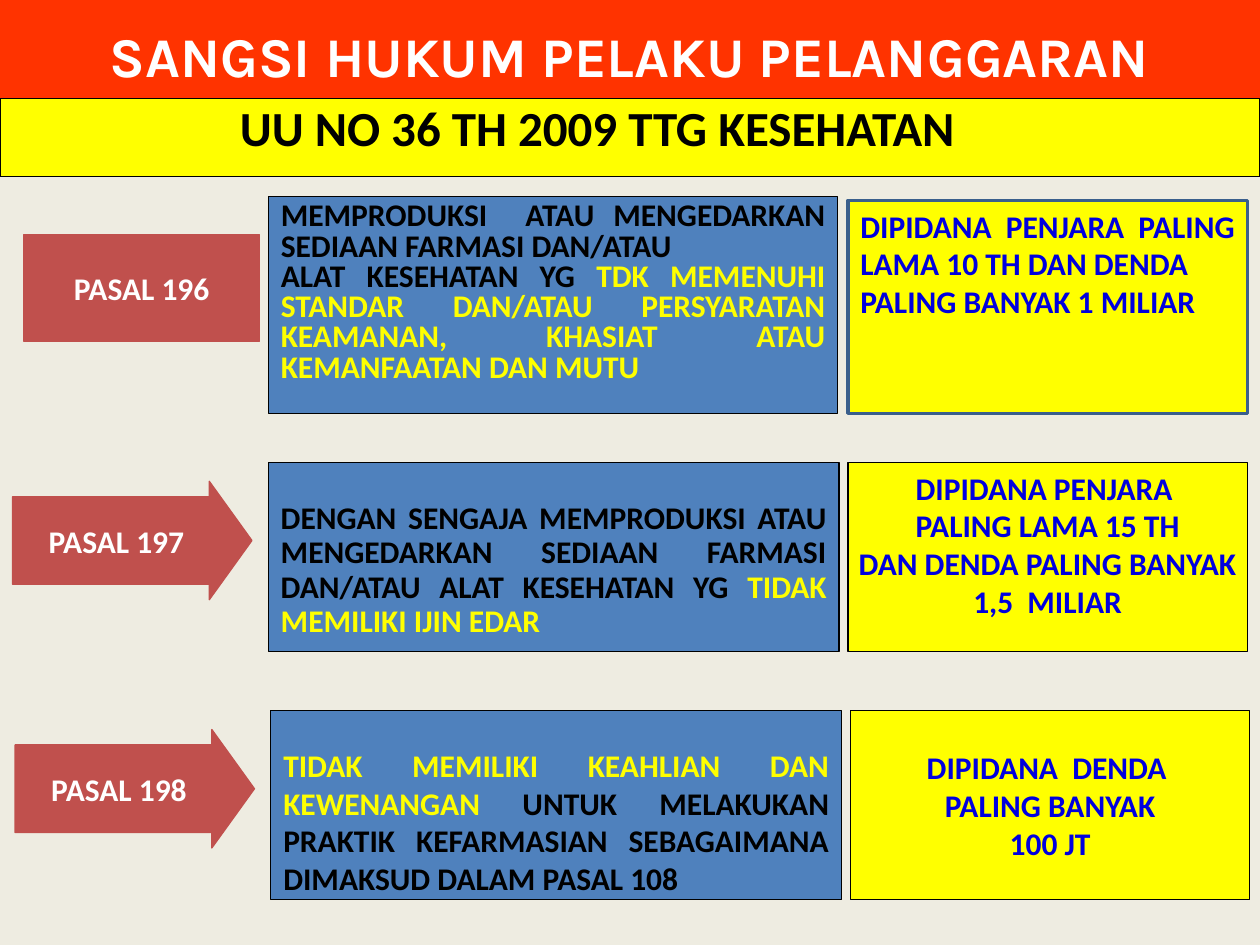
from pptx import Presentation
from pptx.dml.color import RGBColor
from pptx.enum.shapes import MSO_SHAPE
from pptx.enum.text import MSO_ANCHOR, PP_ALIGN
from pptx.util import Inches, Pt

RED, BLUE, YELLOW = "C0504D", "4F81BD", "FFFF00"
BLACK, WHITE, NAVY = "000000", "FFFFFF", "0000DE"
CENTER, JUSTIFY = PP_ALIGN.CENTER, PP_ALIGN.JUSTIFY
TOP, MIDDLE = MSO_ANCHOR.TOP, MSO_ANCHOR.MIDDLE


def color(value):
    return RGBColor.from_string(value)


def add_box(bounds, fill, paragraphs, kind=MSO_SHAPE.RECTANGLE, line=BLACK, line_width=0.75,
            align=CENTER, anchor=TOP, spacing=1.0, top_inset=0.05, wrap=True,
            size=18, font="Calibri"):
    """Each paragraph is a list of (text, colour) pairs."""
    box = page.shapes.add_shape(kind, *[Inches(length) for length in bounds])
    box.shadow.inherit = False
    box.fill.solid()
    box.fill.fore_color.rgb = color(fill)
    box.line.color.rgb = color(line)
    box.line.width = Pt(line_width)
    frame = box.text_frame
    frame.word_wrap = wrap
    frame.vertical_anchor = anchor
    frame.margin_top = Inches(top_inset)
    for index, spans in enumerate(paragraphs):
        paragraph = frame.add_paragraph() if index else frame.paragraphs[0]
        paragraph.alignment = align
        paragraph.line_spacing = spacing
        for text, text_color in spans:
            span = paragraph.add_run()
            span.text = text
            span.font.name = font
            span.font.size = Pt(size)
            span.font.bold = True
            span.font.color.rgb = color(text_color)
    return box


deck = Presentation()
deck.slide_width, deck.slide_height = Inches(10), Inches(7.5)
page = deck.slides.add_slide(deck.slide_layouts[6])
page.background.fill.solid()
page.background.fill.fore_color.rgb = color("EEECE1")

# Headings
title = add_box((0, 0, 10, 0.87), "FF3300", [[("SANGSI HUKUM PELAKU PELANGGARAN", WHITE)]],
                anchor=MIDDLE, size=32, font="Karla")
title.line.fill.background()
law = add_box((0, 0.78, 10, 0.62), YELLOW, [[("UU NO 36 TH 2009 TTG KESEHATAN", BLACK)]],
              spacing=0.9, size=28)
law.margin_right = law.text_frame.margin_right = Inches(0.62)

# Article labels
add_box((0.19, 1.86, 1.87, 0.85), RED, [[("PASAL 196", WHITE)]], line=RED, anchor=MIDDLE)
for left, top, label in [(0.1, 3.82, "PASAL 197"), (0.12, 5.79, "PASAL 198")]:
    arrow = add_box((left, top, 1.9, 0.94), RED, [[(label, WHITE)]],
                    kind=MSO_SHAPE.RIGHT_ARROW, line=RED, anchor=MIDDLE)
    arrow.adjustments[0], arrow.adjustments[1] = 0.74, 0.36

# Offences: bounds, line spacing, top inset, paragraphs
offences = [
    ((2.13, 1.56, 4.52, 1.72), 0.8, 0.05, [
        [("MEMPRODUKSI  ATAU MENGEDARKAN SEDIAAN FARMASI DAN/ATAU ", BLACK)],
        [("ALAT KESEHATAN YG ", BLACK),
         ("TDK MEMENUHI STANDAR DAN/ATAU PERSYARATAN KEAMANAN, KHASIAT ATAU "
          "KEMANFAATAN DAN MUTU", YELLOW)]]),
    ((2.13, 3.67, 4.53, 1.5), 0.9, 0.32, [
        [("DENGAN SENGAJA MEMPRODUKSI ATAU MENGEDARKAN SEDIAAN FARMASI DAN/ATAU "
          "ALAT KESEHATAN YG ", BLACK),
         ("TIDAK MEMILIKI IJIN EDAR", YELLOW)]]),
    ((2.15, 5.64, 4.53, 1.5), 1.0, 0.28, [
        [("TIDAK MEMILIKI KEAHLIAN DAN KEWENANGAN", YELLOW),
         (" UNTUK MELAKUKAN PRAKTIK KEFARMASIAN SEBAGAIMANA DIMAKSUD DALAM PASAL 108",
          BLACK)]]),
]
for bounds, spacing, top_inset, paragraphs in offences:
    add_box(bounds, BLUE, paragraphs, align=JUSTIFY, spacing=spacing, top_inset=top_inset)

# Penalties
add_box((6.73, 1.59, 3.17, 1.69), YELLOW,
        [[("DIPIDANA PENJARA PALING LAMA 10 TH DAN DENDA", NAVY)],
         [("PALING BANYAK 1 MILIAR", NAVY)]],
        line="3A5F8C", line_width=2, align=JUSTIFY)
penalties = [
    (6.73, 3.67, TOP, ["DIPIDANA PENJARA ", "PALING LAMA 15 TH",
                       "DAN DENDA PALING BANYAK", "1,5  MILIAR"]),
    (6.75, 5.64, MIDDLE, ["DIPIDANA  DENDA ", "PALING BANYAK", "100 JT"]),
]
for left, top, anchor, lines in penalties:
    add_box((left, top, 3.17, 1.5), YELLOW, [[(text, NAVY)] for text in lines],
            anchor=anchor, wrap=False)

deck.save("out.pptx")
